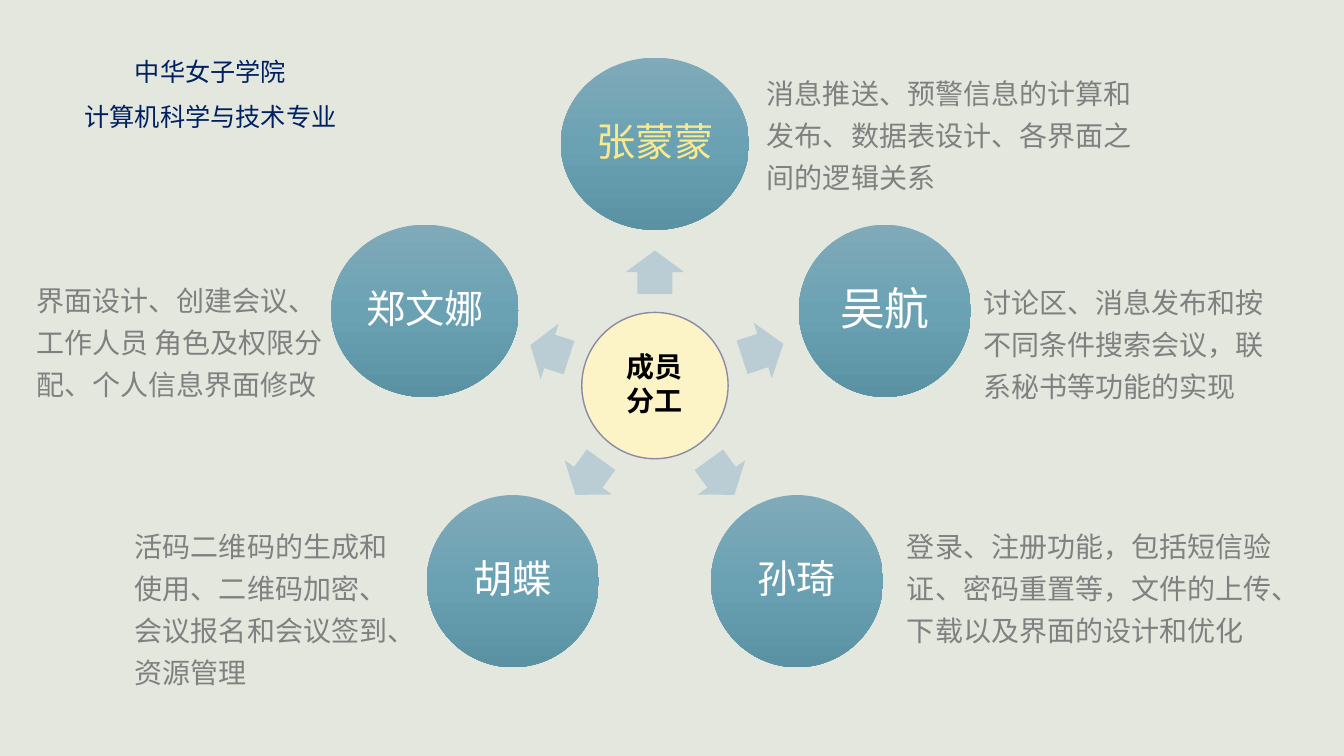
from copy import deepcopy
from math import cos, radians, sin

from pptx import Presentation
from pptx.dml.color import RGBColor
from pptx.enum.shapes import MSO_SHAPE
from pptx.enum.text import MSO_ANCHOR, PP_ALIGN
from pptx.oxml.ns import qn
from pptx.util import Pt

BACKGROUND = RGBColor(0xE3, 0xE7, 0xDE)
CREAM = RGBColor(0xFC, 0xF4, 0xC7)
MAUVE = RGBColor(0x8D, 0x89, 0xA4)
PALE_BLUE = RGBColor(0xBA, 0xCD, 0xD4)
YELLOW = RGBColor(0xF9, 0xE9, 0x8E)
WHITE = RGBColor(0xFF, 0xFF, 0xFF)
BLACK = RGBColor(0x00, 0x00, 0x00)
GRAY = RGBColor(0x80, 0x80, 0x80)
NAVY = RGBColor(0x00, 0x20, 0x60)
TEAL_STOPS = [
    (0, RGBColor(0x80, 0xAA, 0xB9)),
    (0.5, RGBColor(0x6B, 0xA2, 0xB3)),
    (1, RGBColor(0x5B, 0x92, 0xA3)),
]

deck = Presentation()
deck.slide_width, deck.slide_height = Pt(960), Pt(540)
page = deck.slides.add_slide(deck.slide_layouts[6])
page.background.fill.solid()
page.background.fill.fore_color.rgb = BACKGROUND


def add_centred(kind, x, y, width, height):
    """Add a shape without line or shadow around the point x, y."""
    shape = page.shapes.add_shape(
        kind, Pt(x - width / 2), Pt(y - height / 2), Pt(width), Pt(height))
    shape.shadow.inherit = False
    shape.line.fill.background()
    return shape


def write(shape, lines, size, color, align, spacing, after=0, bold=False):
    """Write each line as one paragraph."""
    frame = shape.text_frame
    for number, line in enumerate(lines):
        para = frame.add_paragraph() if number else frame.paragraphs[0]
        para.alignment = align
        para.line_spacing = spacing
        para.space_after = Pt(after)
        span = para.add_run()
        span.text = line
        span.font.name = "Arial"
        span.font.size = Pt(size)
        span.font.bold = bold
        span.font.color.rgb = color


# Hub of the wheel
CENTER_X, CENTER_Y = 467.8, 275.4
hub = add_centred(MSO_SHAPE.OVAL, CENTER_X, CENTER_Y, 104.5, 104.5)
hub.fill.solid()
hub.fill.fore_color.rgb = CREAM
hub.line.color.rgb = MAUVE
hub.line.width = Pt(1)
hub.text_frame.vertical_anchor = MSO_ANCHOR.MIDDLE
write(hub, ["成员", "分工"], 20, BLACK, PP_ALIGN.CENTER, 0.9, after=3, bold=True)

# Members, clockwise from the top: name, size, colour, circle width, arrow length
CIRCLE_RADIUS, ARROW_RADIUS = 172.7, 81
CIRCLE_HEIGHT, ARROW_WIDTH = 123, 41.8
members = [
    ("张蒙蒙", 28, YELLOW, 134.5, 31),
    ("吴航", 32, WHITE, 123, 31),
    ("孙琦", 28, WHITE, 123, 31),
    ("胡蝶", 28, WHITE, 123, 31),
    ("郑文娜", 28, WHITE, 134, 29),
]
for index, (name, size, color, width, length) in enumerate(members):
    angle = 270 + index * 360 / len(members)
    across, down = cos(radians(angle)), sin(radians(angle))

    # The inner end of every arrow lies equally far from the hub
    reach = ARROW_RADIUS - (31 - length)
    arrow = add_centred(MSO_SHAPE.RIGHT_ARROW, CENTER_X + reach * across,
                        CENTER_Y + reach * down, length, ARROW_WIDTH)
    arrow.rotation = angle % 360
    arrow.adjustments[0], arrow.adjustments[1] = 0.6, 0.5
    arrow.fill.solid()
    arrow.fill.fore_color.rgb = PALE_BLUE

    circle = add_centred(MSO_SHAPE.OVAL, CENTER_X + CIRCLE_RADIUS * across,
                         CENTER_Y + CIRCLE_RADIUS * down, width, CIRCLE_HEIGHT)
    circle.fill.gradient()
    circle.fill.gradient_angle = 270
    first_stop = circle.element.spPr.find(qn("a:gradFill")).find(qn("a:gsLst"))[0]
    first_stop.addnext(deepcopy(first_stop))
    for stop, (position, shade) in zip(circle.fill.gradient_stops, TEAL_STOPS):
        stop.position = position
        stop.color.rgb = shade
    frame = circle.text_frame
    frame.vertical_anchor = MSO_ANCHOR.MIDDLE
    frame.margin_left = frame.margin_right = Pt(3)
    frame.margin_top = frame.margin_bottom = Pt(3)
    write(circle, [name], size, color, PP_ALIGN.CENTER, 0.9, after=3)

# Duties beside the circles: left, top, width, height
duties = [
    (540.7, 45.4, 293.8, 98, "消息推送、预警信息的计算和发布、数据表设计、各界面之间的逻辑关系"),
    (695.5, 194.4, 220.3, 98, "讨论区、消息发布和按不同条件搜索会议，联系秘书等功能的实现"),
    (640.8, 368.6, 275.8, 98, "登录、注册功能，包括短信验证、密码重置等，文件的上传、下载以及界面的设计和优化"),
    (89.3, 368.6, 203.8, 128, "活码二维码的生成和使用、二维码加密、会议报名和会议签到、资源管理"),
    (18.7, 193, 230.4, 98, "界面设计、创建会议、工作人员 角色及权限分配、个人信息界面修改"),
]
for left, top, width, height, duty in duties:
    box = page.shapes.add_textbox(Pt(left), Pt(top), Pt(width), Pt(height))
    box.text_frame.word_wrap = True
    write(box, [duty], 20, GRAY, PP_ALIGN.LEFT, 1.25)

# School and major
heading = page.shapes.add_textbox(Pt(51.8), Pt(25.9), Pt(197.3), Pt(68.4))
heading.text_frame.word_wrap = False
write(heading, ["中华女子学院", "计算机科学与技术专业"], 18, NAVY, PP_ALIGN.CENTER, 1.5)

deck.save("out.pptx")
